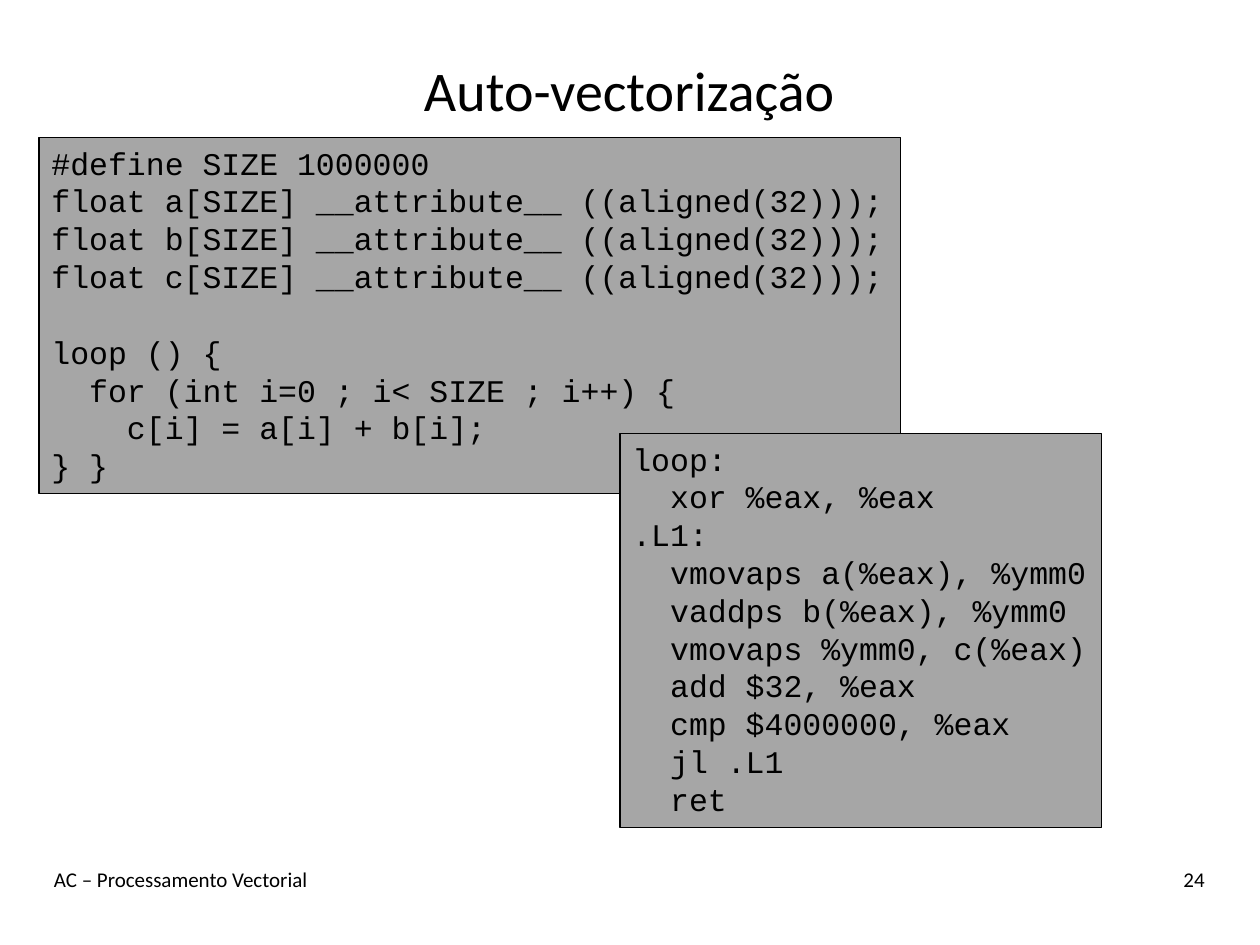
from dataclasses import dataclass

from pptx import Presentation
from pptx.dml.color import RGBColor
from pptx.enum.shapes import MSO_SHAPE
from pptx.enum.text import MSO_ANCHOR, MSO_AUTO_SIZE, PP_ALIGN
from pptx.util import Inches, Pt


@dataclass(frozen=True)
class Theme:
    ink: RGBColor = RGBColor(0x00, 0x00, 0x00)
    panel: RGBColor = RGBColor(0xA6, 0xA6, 0xA6)
    text_font: str = "Calibri"
    code_font: str = "Courier New"
    title_size: int = 32
    code_size: int = 18
    footer_size: int = 12
    border: float = 0.75
    indent: float = 0.3
    section_gap: float = 21.8


THEME = Theme()

DECLARATIONS = [(0, "#define SIZE 1000000")] + [
    (0, f"float {array}[SIZE] __attribute__ ((aligned(32)));") for array in "abc"
]
LOOP = [
    (0, "loop () {"),
    (1, "for (int i=0 ; i< SIZE ; i++) {"),
    (2, "c[i] = a[i] + b[i];"),
    (0, "} }"),
]
ASSEMBLY = [
    (0, "loop:"),
    (1, "xor %eax, %eax"),
    (0, ".L1:"),
    (1, "vmovaps a(%eax), %ymm0"),
    (1, "vaddps b(%eax), %ymm0"),
    (1, "vmovaps %ymm0, c(%eax)"),
    (1, "add $32, %eax"),
    (1, "cmp $4000000, %eax"),
    (1, "jl .L1"),
    (1, "ret"),
]


def write_line(paragraph, text, font, size, align):
    paragraph.text = text
    paragraph.alignment = align
    for run in paragraph.runs:
        run.font.name = font
        run.font.size = Pt(size)
        run.font.color.rgb = THEME.ink


def add_title(slide, text):
    title = slide.shapes.title
    title.left, title.top = Inches(0.33), Inches(0.25)
    title.width, title.height = Inches(9.33), Inches(0.92)
    title.text_frame.vertical_anchor = MSO_ANCHOR.MIDDLE
    write_line(title.text_frame.paragraphs[0], text,
               THEME.text_font, THEME.title_size, PP_ALIGN.CENTER)


def add_footer(slide, text, left, width, align):
    footer = slide.shapes.add_textbox(
        Inches(left), Inches(6.83), Inches(width), Inches(0.5))
    footer.text_frame.word_wrap = True
    write_line(footer.text_frame.paragraphs[0], text,
               THEME.text_font, THEME.footer_size, align)


def add_code(slide, sections, left, top, width, height):
    panel = slide.shapes.add_shape(
        MSO_SHAPE.RECTANGLE,
        Inches(left), Inches(top), Inches(width), Inches(height))
    panel.shadow.inherit = False
    panel.fill.solid()
    panel.fill.fore_color.rgb = THEME.panel
    panel.line.color.rgb = THEME.ink
    panel.line.width = Pt(THEME.border)

    frame = panel.text_frame
    frame.word_wrap = False
    frame.auto_size = MSO_AUTO_SIZE.SHAPE_TO_FIT_TEXT
    frame.vertical_anchor = MSO_ANCHOR.TOP
    paragraph = frame.paragraphs[0]
    for section_index, section in enumerate(sections):
        for line_index, (level, code) in enumerate(section):
            if section_index or line_index:
                paragraph = frame.add_paragraph()
            write_line(paragraph, code, THEME.code_font, THEME.code_size, PP_ALIGN.LEFT)
            if level:
                margin = Inches(level * THEME.indent)
                paragraph._p.get_or_add_pPr().set("marL", str(margin))
            if section_index and not line_index:
                paragraph.space_before = Pt(THEME.section_gap)


def main():
    presentation = Presentation()
    presentation.slide_width = Inches(10)
    presentation.slide_height = Inches(7.5)
    slide = presentation.slides.add_slide(presentation.slide_layouts[5])

    add_title(slide, "Auto-vectorização")
    add_footer(slide, "AC – Processamento Vectorial", 0.33, 7, PP_ALIGN.LEFT)
    add_footer(slide, "24", 8.33, 1.33, PP_ALIGN.RIGHT)
    add_code(slide, [DECLARATIONS, LOOP], 0.31, 1.09, 6.84, 2.83)
    add_code(slide, [ASSEMBLY], 4.92, 3.44, 3.82, 3.13)

    presentation.save("out.pptx")


if __name__ == "__main__":
    main()
